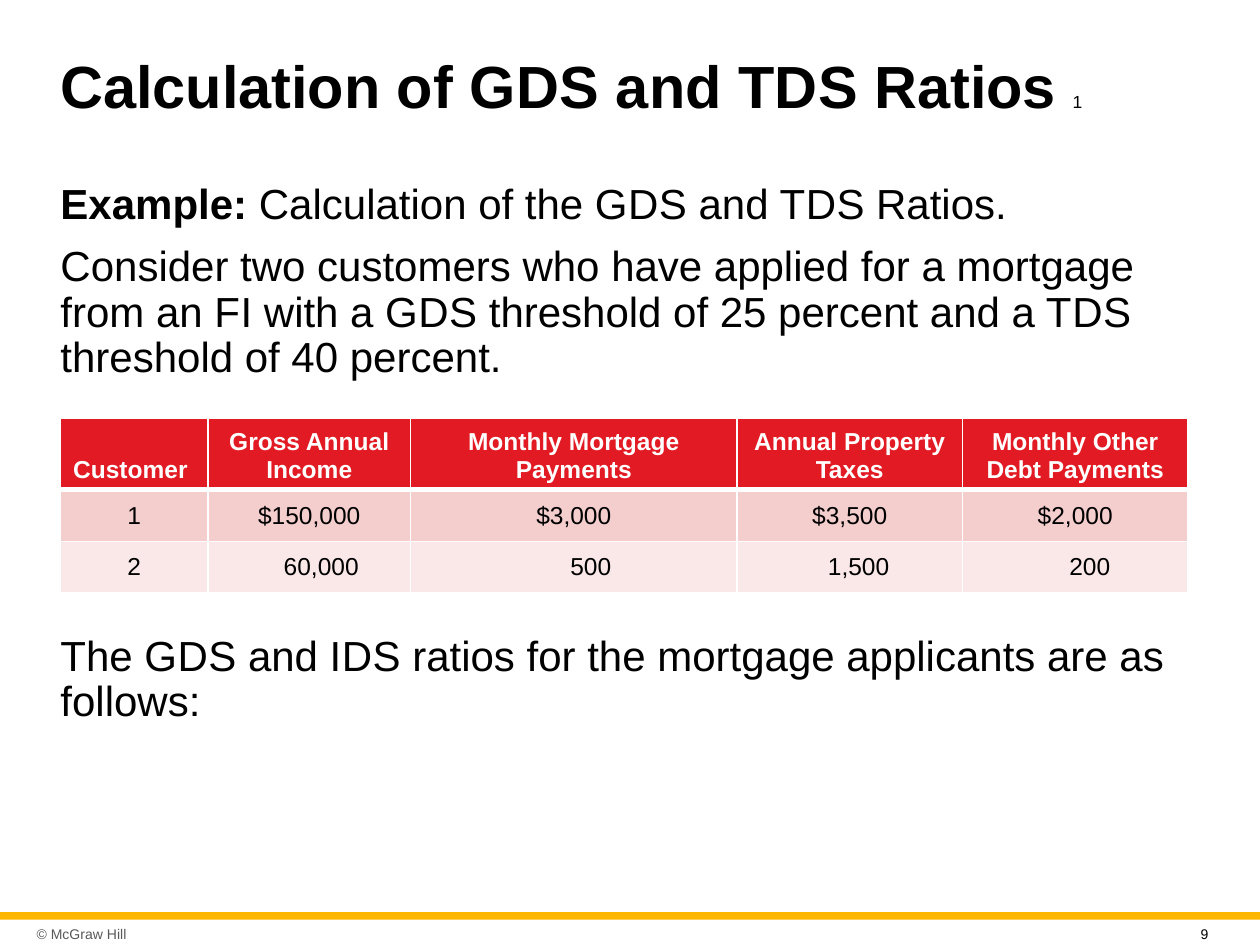
from lxml import etree
from pptx import Presentation
from pptx.dml.color import RGBColor
from pptx.enum import shapes, text
from pptx.oxml import ns
from pptx.util import Inches, Pt

COLORS = {"black": "000000", "white": "FFFFFF", "gold": "FFB600", "grey": "595959",
          "header": "E21A23", "odd": "F4CDCD", "even": "FAE8E8"}
FONT = "Arial"
# A bar marks a one-point space that separates the letters of an acronym.
GDS, TDS, IDS, FI = "G|D|S", "T|D|S", "I|D|S", "F|I"

HEADERS = ["Customer", "Gross Annual Income", "Monthly Mortgage Payments",
           "Annual Property Taxes", "Monthly Other Debt Payments"]
CUSTOMERS = [["1", "$150,000", "$3,000", "$3,500", "$2,000"],
             ["2", "60,000", "500", "1,500", "200"]]
COLUMN_WIDTHS = [1.17, 1.61, 2.59, 1.79, 1.79]
LAST_ROW_INDENTS = [0, 0.19, 0.27, 0.14, 0.23]


def rgb(name):
    return RGBColor.from_string(COLORS[name])


def add_run(paragraph, words, size, color="black", bold=False):
    run = paragraph.add_run()
    run.text = words
    run.font.name, run.font.size, run.font.bold = FONT, Pt(size), bold
    run.font.color.rgb = rgb(color)


def add_spelled(paragraph, words, size, bold=False):
    for i, part in enumerate(words.split("|")):
        if i:
            add_run(paragraph, " ", 1, bold=bold)
        add_run(paragraph, part, size, bold=bold)


def place(shape, box):
    shape.left, shape.top, shape.width, shape.height = map(Inches, box)


def fill_title(title, box):
    place(title, box)
    frame = title.text_frame
    frame.auto_size = text.MSO_AUTO_SIZE.NONE
    frame.vertical_anchor = text.MSO_ANCHOR.MIDDLE
    heading = frame.paragraphs[0]
    heading.alignment = text.PP_ALIGN.LEFT
    heading.line_spacing = 0.9
    add_spelled(heading, f"Calculation of {GDS} and {TDS} Ratios ", 34, bold=True)
    add_run(heading, "1", 10)


def fill_body(body, box, paragraphs):
    """Each paragraph is a list of (words, bold) pairs."""
    place(body, box)
    frame = body.text_frame
    frame.auto_size = text.MSO_AUTO_SIZE.NONE
    for i, pieces in enumerate(paragraphs):
        paragraph = frame.add_paragraph() if i else frame.paragraphs[0]
        properties = paragraph._p.get_or_add_pPr()
        properties.set("marL", "0")
        properties.set("indent", "0")
        etree.SubElement(properties, ns.qn("a:buNone"))
        paragraph.line_spacing = 0.9
        paragraph.space_before = Pt(10 if i else 0)
        for words, bold in pieces:
            add_spelled(paragraph, words, 24, bold)


def set_borders(cell, top, bottom):
    properties = cell._tc.get_or_add_tcPr()
    for side, width in (("L", 1), ("R", 1), ("T", top), ("B", bottom)):
        line = etree.SubElement(properties, ns.qn(f"a:ln{side}"), w=str(Pt(width)))
        fill = etree.SubElement(line, ns.qn("a:solidFill"))
        etree.SubElement(fill, ns.qn("a:srgbClr"), val=COLORS["white"])


def add_customer_table(slide, box):
    rows = [HEADERS] + CUSTOMERS
    table = slide.shapes.add_table(len(rows), len(HEADERS), *map(Inches, box)).table
    for column, width in zip(table.columns, COLUMN_WIDTHS):
        column.width = Inches(width)
    for r, (values, fill) in enumerate(zip(rows, ("header", "odd", "even"))):
        is_header = r == 0
        table.rows[r].height = Inches(0.41)
        for c, value in enumerate(values):
            cell = table.cell(r, c)
            set_borders(cell, top=3 if r == 1 else 1, bottom=3 if is_header else 1)
            cell.fill.solid()
            cell.fill.fore_color.rgb = rgb(fill)
            cell.vertical_anchor = text.MSO_ANCHOR.BOTTOM if is_header else text.MSO_ANCHOR.MIDDLE
            paragraph = cell.text_frame.paragraphs[0]
            paragraph.alignment = (text.PP_ALIGN.LEFT if is_header and c == 0
                                   else text.PP_ALIGN.CENTER)
            if r == len(rows) - 1:
                paragraph._p.get_or_add_pPr().set("marL", str(Inches(LAST_ROW_INDENTS[c])))
            add_run(paragraph, value, 14, "white" if is_header else "black", is_header)


def add_label(slide, box, words, color, inset, anchor):
    label = slide.shapes.add_textbox(*map(Inches, box))
    frame = label.text_frame
    frame.word_wrap = True
    frame.margin_left = frame.margin_right = Inches(inset)
    frame.vertical_anchor = anchor
    add_run(frame.paragraphs[0], words, 8, color)


def add_footer(slide, box):
    left, top, width, height = box
    band = slide.shapes.add_shape(shapes.MSO_SHAPE.RECTANGLE, *map(Inches, box))
    band.shadow.inherit = False
    band.fill.solid()
    band.fill.fore_color.rgb = rgb("gold")
    band.line.fill.background()
    below = top + height
    add_label(slide, (left + 0.24, below - 0.01, 1.35, 0.24), "© McGraw Hill", "grey",
              0.05, text.MSO_ANCHOR.MIDDLE)
    add_label(slide, (left + width - 0.57, below, 0.39, 0.18), "9", "black",
              0.1, text.MSO_ANCHOR.TOP)


def main():
    deck = Presentation()
    deck.slide_width, deck.slide_height = Inches(10), Inches(7.5)
    slide = deck.slides.add_slide(deck.slide_layouts[3])
    title, example, conclusion = slide.placeholders

    # Footer band, copyright and page number
    add_footer(slide, (0, 7.24, 10, 0.06))
    # Heading and example
    fill_title(title, (0.38, 0.21, 9.25, 0.99))
    fill_body(example, (0.38, 1.4, 9.25, 1.71), [
        [("Example: ", True), (f"Calculation of the {GDS} and {TDS} Ratios.", False)],
        [(f"Consider two customers who have applied for a mortgage from an {FI} with a {GDS} "
          f"threshold of 25 percent and a {TDS} threshold of 40 percent.", False)],
    ])
    # Customer figures
    add_customer_table(slide, (0.48, 3.32, sum(COLUMN_WIDTHS), 1.23))
    # Lead-in to the results
    fill_body(conclusion, (0.38, 4.99, 9.25, 0.86), [
        [(f"The {GDS} and {IDS} ratios for the mortgage applicants are as follows:", False)],
    ])
    deck.save("out.pptx")


if __name__ == "__main__":
    main()
